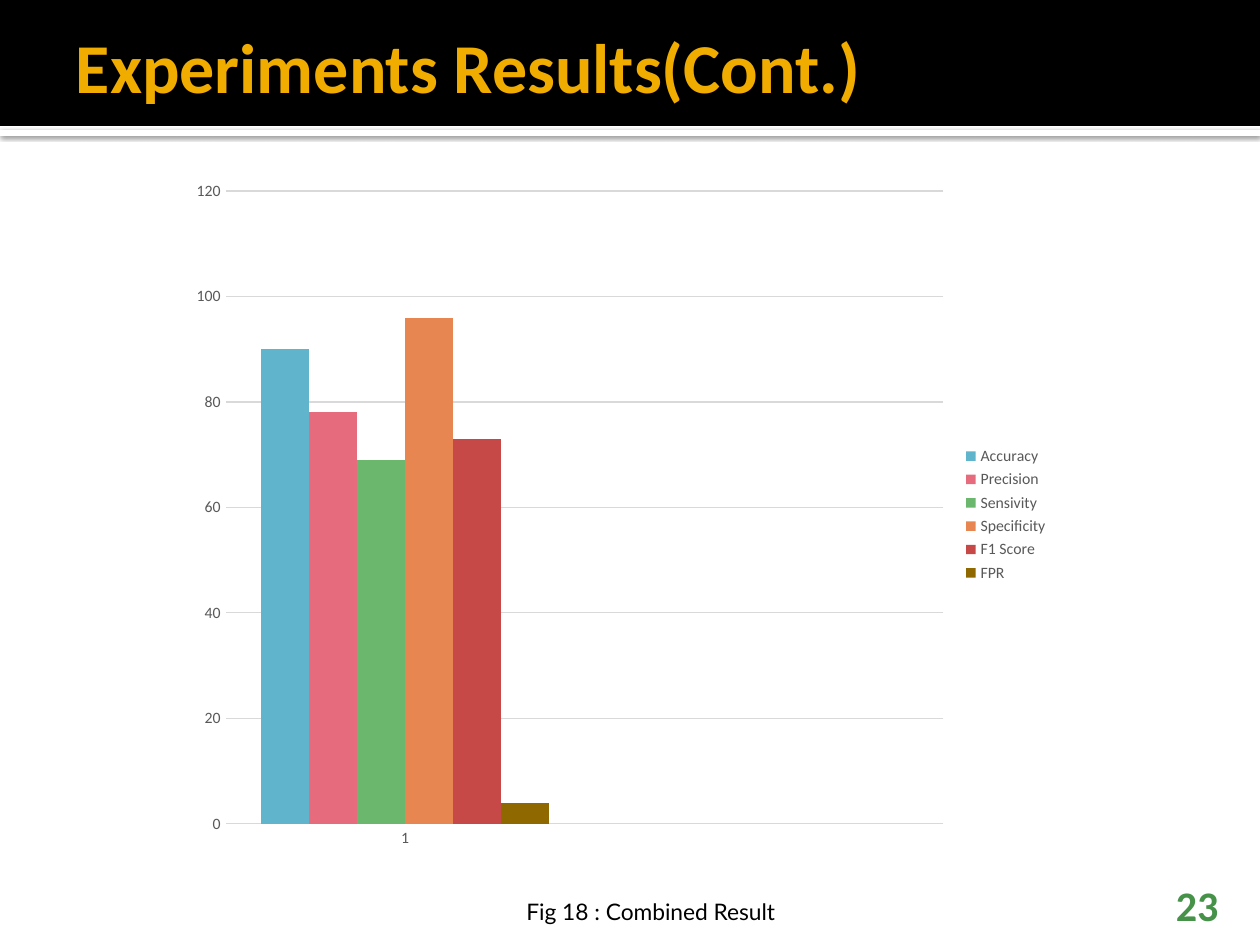
"""Build the combined results slide with its column chart."""
from lxml import etree
from pptx import Presentation
from pptx.chart.data import CategoryChartData as Data
from pptx.dml.color import RGBColor as RGB
from pptx.enum.chart import XL_CHART_TYPE as Kind, XL_LEGEND_POSITION as Pos, XL_TICK_MARK as Tick
from pptx.enum.shapes import MSO_SHAPE as Shape
from pptx.enum.text import MSO_ANCHOR as Anchor, MSO_AUTO_SIZE as Fit, PP_ALIGN as Align
from pptx.oxml.ns import qn
from pptx.util import Pt

SCALE = 914400 / 126
BLACK = RGB(0x00, 0x00, 0x00)
WHITE = RGB(0xFF, 0xFF, 0xFF)
GOLD = RGB(0xF0, 0xAD, 0x00)
GREEN = RGB(0x47, 0x92, 0x49)
GRAY = RGB(0x59, 0x59, 0x59)
PALE = RGB(0xD9, 0xD9, 0xD9)
SCORES = [
    ("Accuracy", 90, RGB(0x60, 0xB5, 0xCC)),
    ("Precision", 78, RGB(0xE6, 0x6C, 0x7D)),
    ("Sensivity", 69, RGB(0x6B, 0xB7, 0x6D)),
    ("Specificity", 96, RGB(0xE8, 0x86, 0x51)),
    ("F1 Score", 73, RGB(0xC6, 0x48, 0x47)),
    ("FPR", 4, RGB(0x90, 0x68, 0x00)),
]


def px(*nums):
    """Turn pixel lengths into EMU."""
    return [round(num * SCALE) for num in nums]


def style(item, **form):
    """Set each format value on an object."""
    for key, val in form.items():
        setattr(item, key, val)


def paint(font, size, color, name="Calibri", bold=False):
    """Format a font."""
    style(font, size=Pt(size), name=name, bold=bold)
    font.color.rgb = color


def add_band(slide, box, color):
    """Add a plain filled band."""
    band = slide.shapes.add_shape(Shape.RECTANGLE, *px(*box))
    band.shadow.inherit = False
    band.fill.solid()
    band.fill.fore_color.rgb = color
    band.line.fill.background()
    return band


def cast(band):
    """Give a band a soft shadow below it."""
    list_ = band._element.spPr.find(qn("a:effectLst"))
    shade = etree.SubElement(list_, qn("a:outerShdw"), blurRad="31750", dist="10160",
                             dir="5400000", algn="tl", rotWithShape="0")
    tone = etree.SubElement(shade, qn("a:srgbClr"), val=str(BLACK))
    etree.SubElement(tone, qn("a:alpha"), val="60000")


def write(shape, text, look, align=Align.LEFT, **frame):
    """Put one formatted line in a shape."""
    body = shape.text_frame
    style(body, word_wrap=True, auto_size=Fit.NONE)
    style(body, **frame)
    line = body.paragraphs[0]
    line.alignment = align
    run = line.add_run()
    run.text = text
    paint(run.font, **look)


def set_title(slide, text):
    """Place the title in front of the bands."""
    title = slide.shapes.title
    left, top, width, height = px(63, 10, 1134, 110)
    style(title, left=left, top=top, width=width, height=height)
    slide.shapes._spTree.append(title._element)
    pad, thin = px(13, 6)
    write(title, text, dict(size=40, color=GOLD, bold=True), vertical_anchor=Anchor.MIDDLE,
          margin_left=pad, margin_right=thin, margin_top=thin, margin_bottom=thin)


def add_text(slide, box, text, look, **frame):
    """Add a text box with one line."""
    write(slide.shapes.add_textbox(*px(*box)), text, look, **frame)


def add_graph(slide, box):
    """Add the column chart of scores."""
    data = Data()
    data.categories = ["1", ""]
    for name, val, _ in SCORES:
        data.add_series(name, [val, None])
    chart = slide.shapes.add_chart(Kind.COLUMN_CLUSTERED, *px(*box), data).chart
    style(chart, has_title=False, has_legend=True)
    paint(chart.font, 10, BLACK)
    style(chart.legend, position=Pos.RIGHT, include_in_layout=False)
    paint(chart.legend.font, 9, GRAY)
    for axis in (chart.category_axis, chart.value_axis):
        style(axis, major_tick_mark=Tick.NONE, minor_tick_mark=Tick.NONE)
        axis.format.line.fill.background()
        paint(axis.tick_labels.font, 9, GRAY)
    style(chart.value_axis, minimum_scale=0, maximum_scale=120, major_unit=20)
    grid = chart.value_axis.major_gridlines.format.line
    grid.width = Pt(0.75)
    grid.color.rgb = PALE
    plot = chart.plots[0]
    style(plot, gap_width=150, overlap=0, vary_by_categories=False)
    for bar, (_, _, color) in zip(plot.series, SCORES):
        bar.format.fill.solid()
        bar.format.fill.fore_color.rgb = color


def main():
    """Build and save the slide."""
    deck = Presentation()
    deck.slide_width, deck.slide_height = px(1260, 945)
    slide = deck.slides.add_slide(deck.slide_layouts[5])
    cast(add_band(slide, (0, 130, 1260, 6), WHITE))
    add_band(slide, (0, 0, 1260, 126), BLACK)
    set_title(slide, "Experiments Results(Cont.)")
    add_text(slide, (1130, 892, 101, 38), "23", dict(size=24, color=GREEN, bold=True),
             align=Align.RIGHT, vertical_anchor=Anchor.BOTTOM, margin_bottom=0)
    add_graph(slide, (179, 168, 882, 693))
    add_text(slide, (514, 892, 504, 40), "Fig 18 : Combined Result",
             dict(size=13, color=BLACK, name="Lato"), auto_size=Fit.SHAPE_TO_FIT_TEXT)
    deck.save("out.pptx")


if __name__ == "__main__":
    main()
